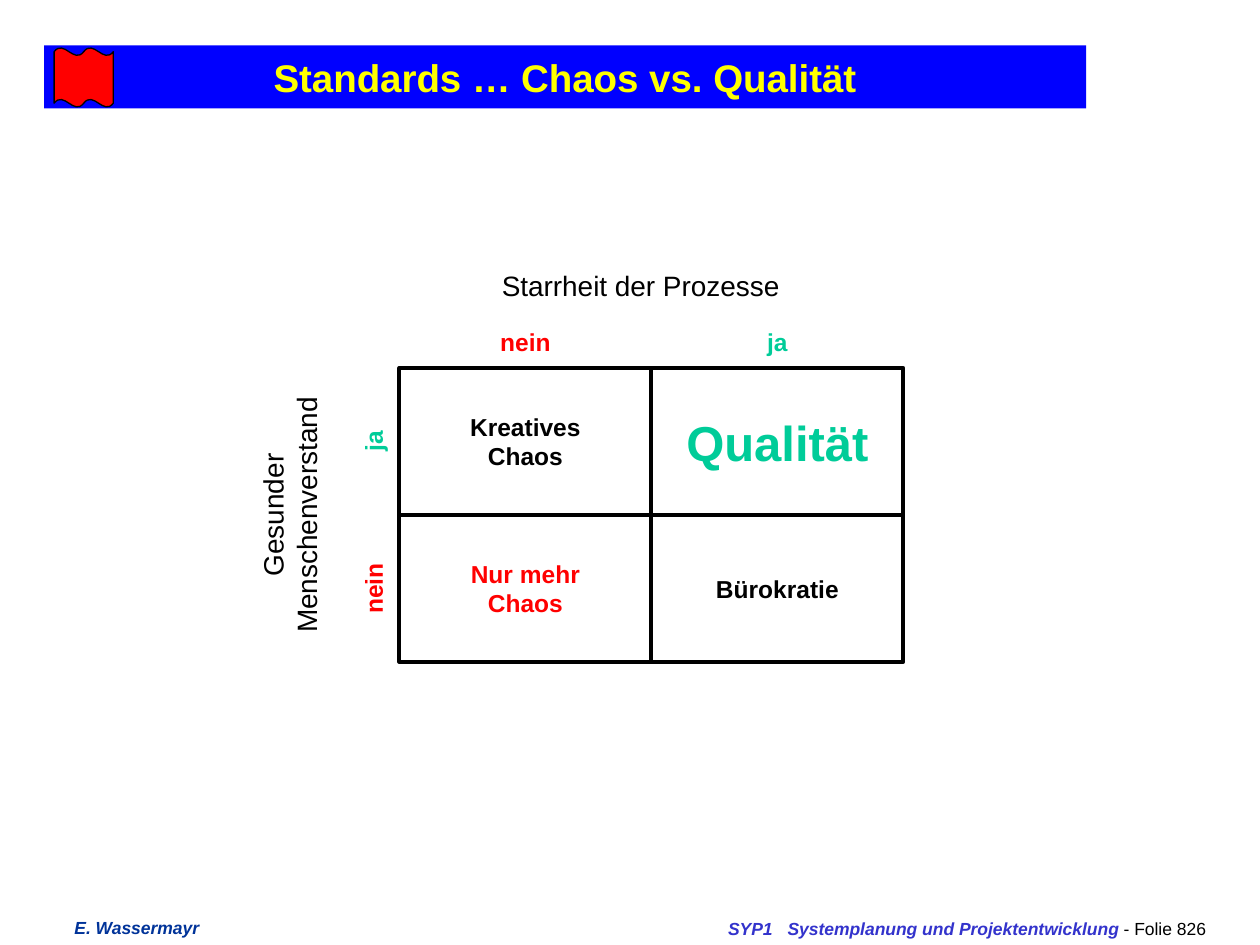
from dataclasses import dataclass

from pptx import Presentation
from pptx.dml.color import RGBColor
from pptx.enum.shapes import MSO_SHAPE as Preset
from pptx.enum.text import MSO_ANCHOR as Anchor, MSO_AUTO_SIZE as AutoSize, PP_ALIGN as Align
from pptx.util import Inches, Pt

COLORS = {
    "black": "000000",
    "red": "FF0000",
    "green": "00CC99",
    "blue": "0000FF",
    "yellow": "FFFF00",
    "indigo": "3333CC",
    "navy": "003399",
}
FONT = "Arial"
SLIDE_WIDTH, SLIDE_HEIGHT = 10, 7.5
GRID_LEFT, GRID_TOP = 3.17, 2.92
COLUMN, ROW = 2, 7 / 6
HEADING = 0.42


@dataclass
class Box:
    left: float
    top: float
    width: float
    height: float

    def emu(self) -> list:
        return [Inches(value) for value in (self.left, self.top, self.width, self.height)]


@dataclass
class Style:
    size: float
    color: str = "black"
    bold: bool = False
    italic: bool = False


@dataclass
class Cell:
    column: int
    row: int
    text: str
    style: Style


@dataclass
class Heading:
    index: int
    text: str
    color: str
    vertical: bool = False


CELLS = [
    Cell(0, 0, "Kreatives\vChaos", Style(14, bold=True)),
    Cell(0, 1, "Nur mehr\vChaos", Style(14, "red", True)),
    Cell(1, 1, "Bürokratie", Style(14, bold=True)),
    Cell(1, 0, "Qualität", Style(28, "green", True)),
]
HEADINGS = [
    Heading(0, "nein", "red"),
    Heading(1, "ja", "green"),
    Heading(0, "ja", "green", True),
    Heading(1, "nein", "red", True),
]


def rgb(name: str) -> RGBColor:
    return RGBColor.from_string(COLORS[name])


def centered(x: float, y: float, width: float, height: float) -> Box:
    return Box(x - width / 2, y - height / 2, width, height)


def format_run(run, style: Style) -> None:
    font = run.font
    font.name, font.size = FONT, Pt(style.size)
    font.bold, font.italic = style.bold, style.italic
    font.color.rgb = rgb(style.color)


def write(shape, text: str, style: Style, align=Align.CENTER, anchor=Anchor.MIDDLE, wrap=False) -> None:
    frame = shape.text_frame
    frame.text = text
    frame.word_wrap, frame.vertical_anchor = wrap, anchor
    frame.auto_size = AutoSize.NONE
    for paragraph in frame.paragraphs:
        paragraph.alignment = align
        for run in paragraph.runs:
            format_run(run, style)


def add_label(slide, box: Box, text: str, style: Style, vertical=False, **layout):
    label = slide.shapes.add_textbox(*box.emu())
    label.rotation = 270 if vertical else 0
    write(label, text, style, **layout)
    return label


def add_title(slide) -> None:
    title = slide.shapes.title
    title.left, title.top, title.width, title.height = Box(0.35, 0.36, 8.27, 0.5).emu()
    title.fill.solid()
    title.fill.fore_color.rgb = rgb("blue")
    write(title, "Standards … Chaos vs. Qualität", Style(22, "yellow", True), wrap=True)

    flag = slide.shapes.add_shape(Preset.DOUBLE_WAVE, *Box(0.43, 0.38, 0.47, 0.47).emu())
    flag.shadow.inherit = False
    flag.adjustments[0], flag.adjustments[1] = 0.065, 0
    flag.fill.solid()
    flag.fill.fore_color.rgb = rgb("red")
    flag.line.color.rgb, flag.line.width = rgb("black"), Pt(0.75)


def add_cell(slide, cell: Cell) -> None:
    box = Box(GRID_LEFT + cell.column * COLUMN, GRID_TOP + cell.row * ROW, COLUMN, ROW)
    shape = slide.shapes.add_shape(Preset.RECTANGLE, *box.emu())
    shape.shadow.inherit = False
    shape.fill.background()
    shape.line.color.rgb, shape.line.width = rgb("black"), Pt(2.25)
    write(shape, cell.text, cell.style)


def add_heading(slide, heading: Heading) -> None:
    middle = heading.index + 0.5
    if heading.vertical:
        box = centered(GRID_LEFT - HEADING / 2, GRID_TOP + middle * ROW, ROW, HEADING)
    else:
        box = centered(GRID_LEFT + middle * COLUMN, GRID_TOP - HEADING / 2, COLUMN, HEADING)
    add_label(slide, box, heading.text, Style(14, heading.color, True), heading.vertical)


def add_axes(slide) -> None:
    layout = {"anchor": Anchor.TOP, "wrap": True}
    add_label(slide, Box(3.75, 2.08, 2.67, 0.37), "Starrheit der Prozesse", Style(16), **layout)
    vertical_box = centered(2.3, GRID_TOP + ROW, 2.67, 0.64)
    add_label(slide, vertical_box, "Gesunder Menschenverstand", Style(16), True, **layout)


def add_footer(slide) -> None:
    course = Style(10, "indigo", True, True)
    layout = {"align": Align.RIGHT, "anchor": Anchor.TOP}
    add_label(slide, Box(0.49, 7.23, 1.19, 0.27), "E. Wassermayr",
              Style(10, "navy", True, True), anchor=Anchor.TOP)
    add_label(slide, Box(5.24, 7.24, 0.99, 0.26), "SYP1", course, **layout)
    subject = add_label(slide, Box(6.14, 7.24, 3.53, 0.26),
                        "Systemplanung und Projektentwicklung", course, **layout)
    number = subject.text_frame.paragraphs[0].add_run()
    number.text = " - Folie 826"
    format_run(number, Style(10))


def main() -> None:
    presentation = Presentation()
    presentation.slide_width = Inches(SLIDE_WIDTH)
    presentation.slide_height = Inches(SLIDE_HEIGHT)
    slide = presentation.slides.add_slide(presentation.slide_layouts[5])
    add_footer(slide)
    add_title(slide)
    for cell in CELLS:
        add_cell(slide, cell)
    for heading in HEADINGS:
        add_heading(slide, heading)
    add_axes(slide)
    presentation.save("out.pptx")


if __name__ == "__main__":
    main()
